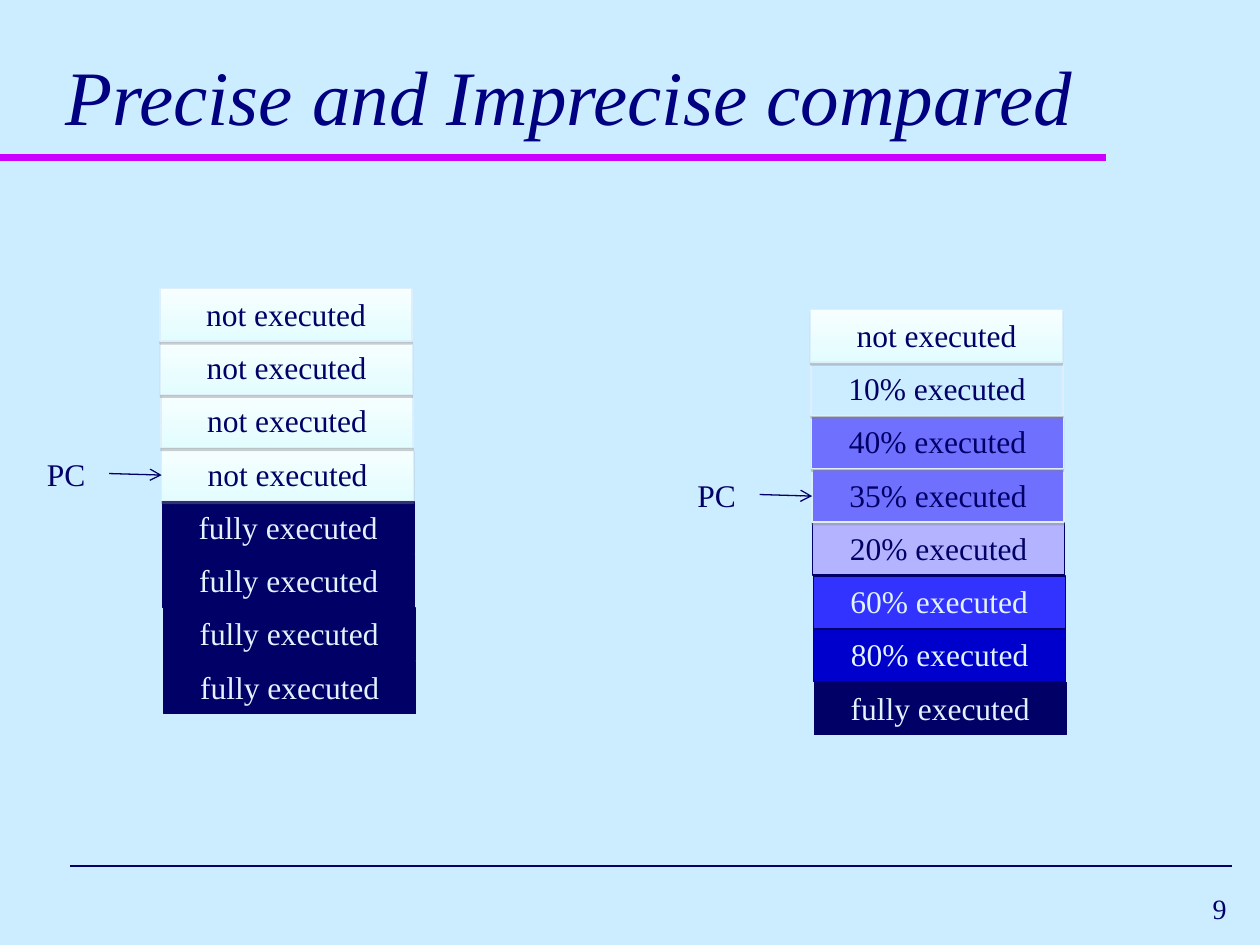
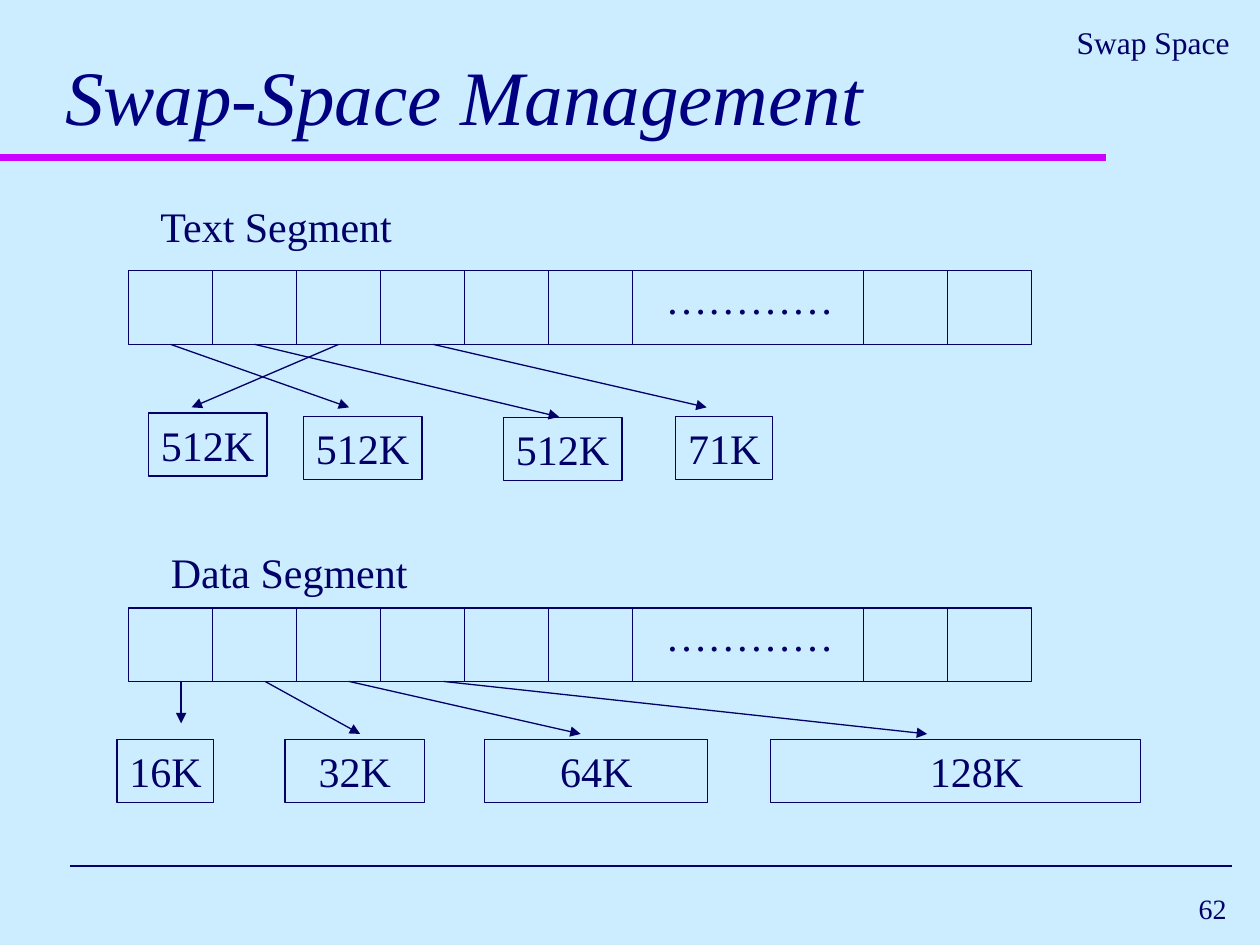
from dataclasses import dataclass

from lxml.etree import SubElement
from pptx import Presentation
from pptx.dml.color import RGBColor
from pptx.enum.shapes import MSO_CONNECTOR as Connector, MSO_SHAPE as Shape
from pptx.enum.text import MSO_ANCHOR as Anchor, PP_ALIGN as Align
from pptx.oxml.ns import qn
from pptx.util import Inches, Pt

# Grid of twelfths of an inch: 120 columns by 90 rows
COLUMNS, ROWS = 120, 90
TITLE_ONLY = 5


@dataclass(frozen=True)
class Theme:
    font: str = "Times New Roman"
    sky: str = "CCECFF"
    navy: str = "000066"
    title: str = "000080"
    magenta: str = "CC00FF"
    pale: str = "E2F4FF"
    pale_edge: str = "DCEFFA"
    shadow: str = "808080"
    ice: tuple = ("F6FEFF", "E3FDFF")
    blue: str = "7070FF"
    lilac: str = "B3B3FF"
    bright: str = "3333FF"
    deep: str = "0000CC"
    title_size: int = 44
    large: int = 24
    normal: int = 18
    small: int = 16
    thin: float = 0.75


THEME = Theme()


def rgb(code):
    return RGBColor.from_string(code)


def write(frame, text, size=THEME.normal, color=THEME.navy, align=Align.LEFT,
          anchor=Anchor.TOP, italic=False, indent=0):
    frame.word_wrap = True
    frame.vertical_anchor = anchor
    frame.margin_left = Inches(0.1 + indent / 12)
    frame.margin_right = 0 if align == Align.LEFT else Inches(0.1)
    frame.margin_top = frame.margin_bottom = Inches(0.05)
    para = frame.paragraphs[0]
    para.alignment = align
    span = para.add_run()
    span.text = text
    span.font.name, span.font.size = THEME.font, Pt(size)
    span.font.italic, span.font.color.rgb = italic, rgb(color)


class Builder:
    def __init__(self, theme):
        self.theme = theme
        self.deck = Presentation()
        self.deck.slide_width, self.deck.slide_height = Inches(10), Inches(7.5)
        self.layout = self.deck.slide_layouts[TITLE_ONLY]
        self.page = None

    def lengths(self, left, top, width, height):
        across = self.deck.slide_width / COLUMNS
        down = self.deck.slide_height / ROWS
        return (round(left * across), round(top * down),
                round(width * across), round(height * down))

    def add_page(self, title, number):
        first = self.page is None
        self.page = self.deck.slides.add_slide(self.layout)
        if first:
            self.dress_layout()
        head = self.page.shapes.title
        head.left, head.top, head.width, head.height = self.lengths(5, 2, 111, 12)
        write(head.text_frame, title, size=self.theme.title_size, italic=True,
              color=self.theme.title, anchor=Anchor.BOTTOM)
        self.text(number, 93, 84, 25, 5, size=self.theme.small,
                  align=Align.RIGHT, anchor=Anchor.MIDDLE)

    def dress_layout(self):
        """Background and rules shared by every page."""
        fill = self.layout.background.fill
        fill.solid()
        fill.fore_color.rgb = rgb(self.theme.sky)
        rules = (self.line(0, 15, 105.33, 15, self.theme.magenta, 4),
                 self.line(6.67, 82.5, 117.33, 82.5, self.theme.navy, 1))
        for rule in rules:
            self.layout.shapes.element.append(rule.element)

    def text(self, text, left, top, width, height, **style):
        box = self.page.shapes.add_textbox(*self.lengths(left, top, width, height))
        write(box.text_frame, text, **style)

    def box(self, left, top, width, height, text=None, fill=None, edge=None,
            shadow=False, **style):
        box = self.page.shapes.add_shape(
            Shape.RECTANGLE, *self.lengths(left, top, width, height))
        if fill is None:
            box.fill.background()
        elif isinstance(fill, tuple):
            box.fill.gradient()
            box.fill.gradient_angle = 270
            for stop, color in zip(box.fill.gradient_stops, fill):
                stop.color.rgb = rgb(color)
        else:
            box.fill.solid()
            box.fill.fore_color.rgb = rgb(fill)
        box.line.color.rgb = rgb(edge or self.theme.navy)
        box.line.width = Pt(self.theme.thin)
        box.shadow.inherit = False
        if shadow:
            self.drop_shadow(box)
        if text:
            write(box.text_frame, text, **style)

    def drop_shadow(self, box):
        effects = box.element.spPr.find(qn("a:effectLst"))
        outer = SubElement(effects, qn("a:outerShdw"), blurRad="0",
                           dist=str(Pt(1.6)), dir="5400000", rotWithShape="0")
        color = SubElement(outer, qn("a:srgbClr"), val=self.theme.shadow)
        SubElement(color, qn("a:alpha"), val="38000")

    def line(self, x1, y1, x2, y2, color=None, width=None, head=None):
        line = self.page.shapes.add_connector(
            Connector.STRAIGHT, *self.lengths(x1, y1, x2, y2))
        line.line.color.rgb = rgb(color or self.theme.navy)
        line.line.width = Pt(width or self.theme.thin)
        properties = line.element.spPr
        if head:
            SubElement(properties.find(qn("a:ln")), qn("a:tailEnd"), type=head)
        SubElement(properties, qn("a:effectLst"))
        return line

    def instruction_stack(self, left, top, states):
        """Stack of instructions, drawn from the bottom up, with its PC arrow."""
        step, drift = 5.07, 0.05
        for row, (text, fill, dark, raised) in reversed(list(enumerate(states))):
            self.box(left + row * drift, top + row * step, 24, 5, text, fill,
                     edge=self.theme.pale_edge if raised else self.theme.navy,
                     shadow=raised, align=Align.CENTER,
                     color=self.theme.pale if dark else self.theme.navy)
        self.text("PC", left - 13, top + 15.25, 8.1, 4.8, align=Align.CENTER)
        self.line(left - 4.85, top + 17.6, left + 0.15, top + 17.75, head="arrow")

    def segment(self, name, name_left, name_rise, top, blocks):
        """Segment strip with arrows to its swap blocks."""
        left, cell, height = 12.25, 8, 7
        self.box(left, top, 86, height)
        dividers = [cell * count for count in range(1, 7)] + [70, 78]
        for x in dividers:
            self.line(left + x, top, left + x, top + height)
        large = self.theme.large
        self.text("…………", 62.2, top - 0.4, 18.4, 6, size=large)
        self.text(name, name_left, top - name_rise, 25, 6, size=large)
        for text, x, drop, width, indent, start, tip, tip_drop in blocks:
            self.box(x, top + drop, width, 6, text, size=large, indent=indent)
            self.line(left + start, top + height, tip, top + tip_drop,
                      head="triangle")


def main():
    show = Builder(THEME)

    # Instruction state at an interrupt: text, fill, light text, raised
    waiting = ("not executed", THEME.ice, False, True)
    done = ("fully executed", THEME.navy, True, False)
    partial = [("10% executed", THEME.sky, False, True),
               ("40% executed", THEME.blue, False, True),
               ("35% executed", THEME.blue, False, True),
               ("20% executed", THEME.lilac, False, False),
               ("60% executed", THEME.bright, True, False),
               ("80% executed", THEME.deep, True, False)]
    show.add_page("Precise and Imprecise compared", "9")
    show.instruction_stack(15.25, 27.5, [waiting] * 4 + [done] * 4)
    show.instruction_stack(77.2, 29.5, [waiting, *partial, done])

    # Swap blocks: text, left, drop, width, indent, arrow start, tip, tip drop
    text_blocks = [("512K", 14.15, 13.55, 11.3, 0, 20, 18.25, 13),
                   ("512K", 28.9, 13.85, 11.3, 0, 4, 33.25, 13),
                   ("512K", 47.95, 13.95, 11.3, 0, 12, 53.25, 13.9),
                   ("71K", 64.35, 13.85, 9.2, 0, 29, 67.3, 13)]
    data_blocks = [("16K", 11.15, 12.55, 9.2, 0, 5, 17.25, 11),
                   ("32K", 27.15, 12.55, 13.3, 2, 13, 34.3, 12),
                   ("64K", 46.15, 12.55, 21.25, 6, 21, 55.3, 12),
                   ("128K", 73.35, 12.55, 35.25, 14, 30, 88.3, 12)]
    show.add_page("Swap-Space Management", "62")
    show.segment("Text Segment", 14.1, 7.3, 25.8, text_blocks)
    show.segment("Data Segment", 15.1, 6.4, 57.9, data_blocks)
    show.text("Swap Space", 97.3, 1.6, 21, 4.8, align=Align.RIGHT)

    show.deck.save("out.pptx")


if __name__ == "__main__":
    main()
